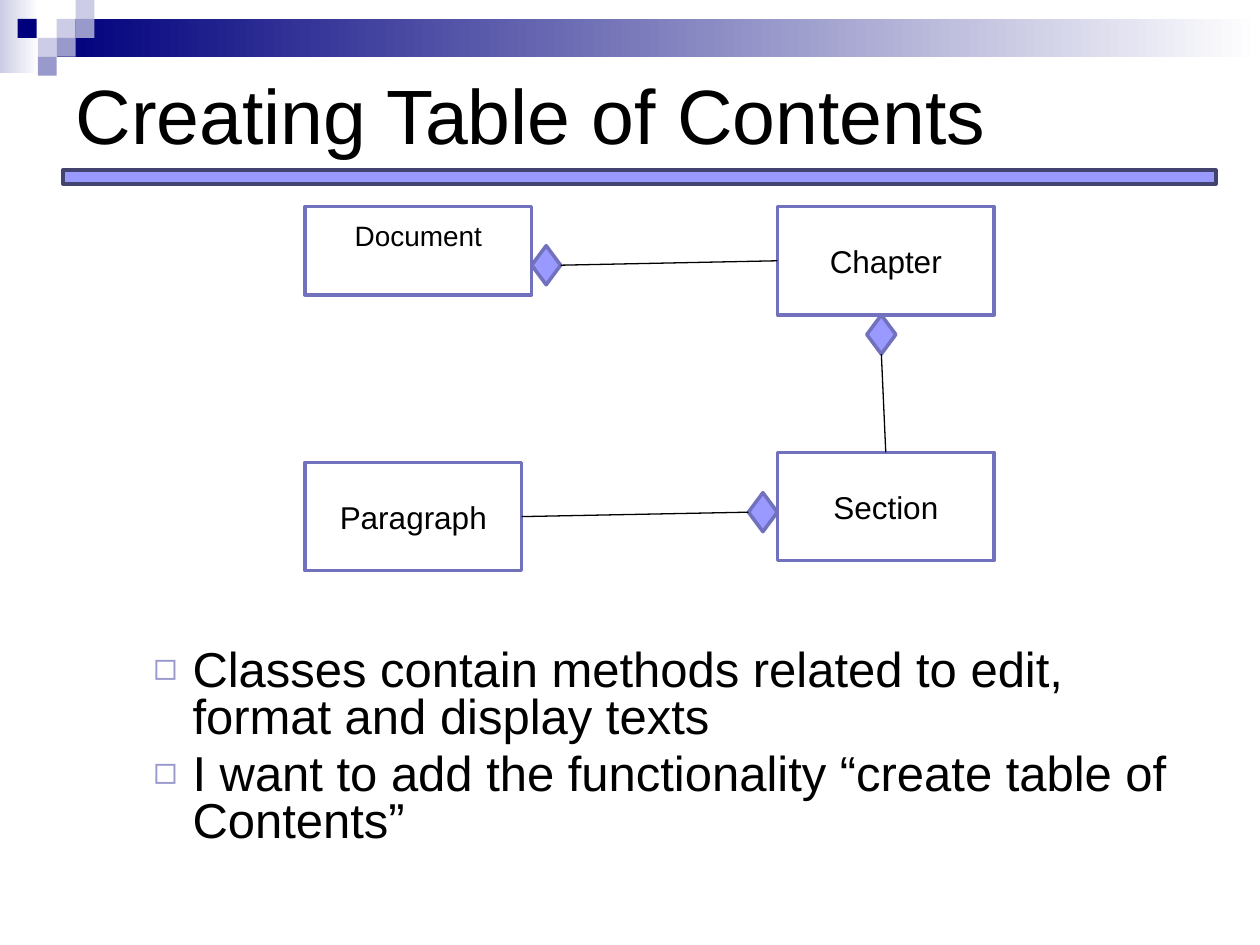
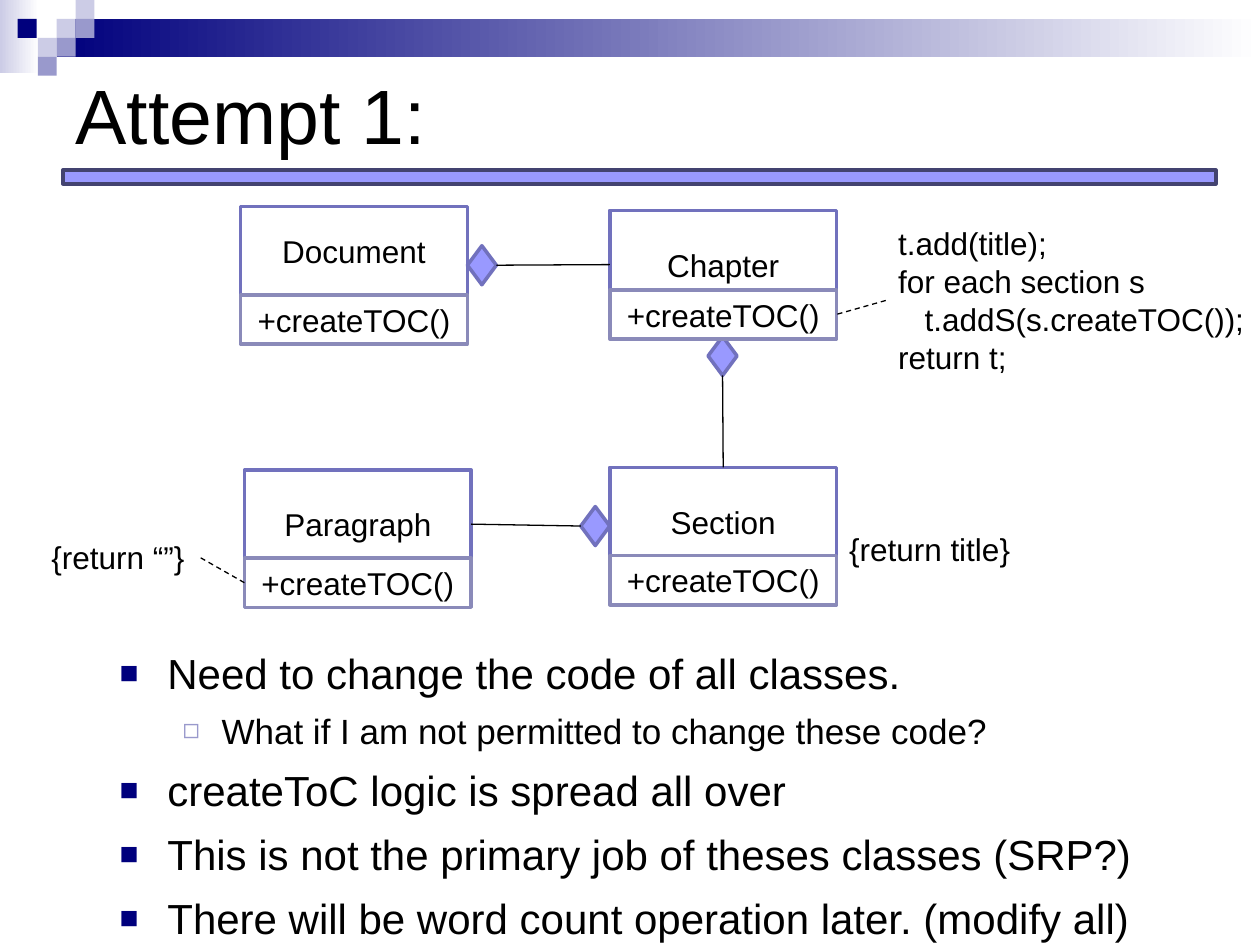
from lxml.etree import SubElement
from pptx import Presentation
from pptx.dml.color import RGBColor
from pptx.enum.dml import MSO_LINE_DASH_STYLE as Dash
from pptx.enum.shapes import MSO_CONNECTOR as Connector, MSO_SHAPE as Preset
from pptx.enum.text import MSO_ANCHOR as Anchor, MSO_AUTO_SIZE as AutoSize, PP_ALIGN as Align
from pptx.oxml.ns import qn
from pptx.util import Inches, Pt

FONT = "Arial"
BLACK, WHITE, NAVY = "000000", "FFFFFF", "00007D"
PALE, LILAC, VIOLET = "CCCCE6", "9999CC", "9999FF"
CLASS_LINE, METHOD_LINE, RULE_LINE = "7171BD", "8A8AB9", "434370"
TOP, LEFT, BOTTOM, RIGHT = range(4)
PIXEL = 0.15
PIXELS = [(0.45, 0.15, PALE), (0.6, 0, PALE), (0.6, 0.15, LILAC), (0.3, 0.3, PALE),
          (0.14, 0.15, NAVY), (0.45, 0.3, LILAC), (0.3, 0.45, LILAC)]
BULLETS = [("■", NAVY, 75, 0.38, 0.38), ("◻", LILAC, 80, 0.81, 0.31)]
CLASS_WIDTH, METHOD_HEIGHT = 1.8, 0.39


def color(value):
    """Turn a hex string into a colour."""
    return RGBColor.from_string(value)


def format_runs(paragraph, size):
    """Give all runs of a paragraph the deck's font."""
    for run in paragraph.runs:
        run.font.name = FONT
        run.font.size = Pt(size)
        run.font.color.rgb = color(BLACK)


def add_box(slide, at, fill=None, line=None, preset=Preset.RECTANGLE):
    """Add a preset shape with an optional fill and outline."""
    shape = slide.shapes.add_shape(preset, *map(Inches, at))
    shape.shadow.inherit = False
    if fill:
        shape.fill.solid()
        shape.fill.fore_color.rgb = color(fill)
    else:
        shape.fill.background()
    if line:
        shape.line.color.rgb = color(line)
        shape.line.width = Pt(2)
    else:
        shape.line.fill.background()
    return shape


def add_fade(slide, at, start):
    """Add a band that fades from a colour to white."""
    shape = add_box(slide, at)
    shape.fill.gradient()
    shape.fill.gradient_angle = 0
    for stop, value in zip(shape.fill.gradient_stops, (start, WHITE)):
        stop.color.rgb = color(value)
    return shape


def decorate_layout(layout, slide):
    """Build the header band, pixels and title rule and move them to the layout."""
    shapes = [add_fade(slide, (0, 0, 0.31, 0.58), PALE),
              add_fade(slide, (0.45, 0.15, 9.55, 0.3), NAVY)]
    shapes += [add_box(slide, (left, top, PIXEL, PIXEL), fill) for left, top, fill in PIXELS]
    shapes.append(add_box(slide, (0.5, 1.35, 9.15, 0.11), VIOLET, RULE_LINE))
    for shape in shapes:
        layout.shapes.element.append(shape.element)


def set_title(slide, text):
    """Place and format the slide title."""
    title = slide.shapes.title
    title.left, title.top, title.width, title.height = map(Inches, (0.5, 0.15, 9, 1.5))
    frame = title.text_frame
    frame.text = text
    frame.auto_size = AutoSize.NONE
    frame.vertical_anchor = Anchor.MIDDLE
    frame.paragraphs[0].alignment = Align.LEFT
    format_runs(frame.paragraphs[0], 44)


def add_label_box(slide, at, text, line, fill=None, size=18):
    """Add an outlined rectangle with a centred label."""
    box = add_box(slide, at, fill, line)
    box.text_frame.text = text
    box.text_frame.vertical_anchor = Anchor.MIDDLE
    paragraph = box.text_frame.paragraphs[0]
    paragraph.alignment = Align.CENTER
    format_runs(paragraph, size)
    return box


def add_class(slide, name, left, top, width=CLASS_WIDTH, height=0.86, size=18):
    """Add a class rectangle."""
    return add_label_box(slide, (left, top, width, height), name, CLASS_LINE, size=size)


def add_method(slide, left, top):
    """Add the method compartment of a class."""
    at = (left, top, CLASS_WIDTH, METHOD_HEIGHT)
    return add_label_box(slide, at, "+createTOC()", METHOD_LINE, WHITE)


def add_link(slide, start, start_side, end, end_side, dash=None):
    """Join two shapes with a thin black line."""
    link = slide.shapes.add_connector(Connector.STRAIGHT, 0, 0, 0, 0)
    link.begin_connect(start, start_side)
    link.end_connect(end, end_side)
    link.line.color.rgb = color(BLACK)
    link.line.width = Pt(0.75)
    if dash:
        link.line.dash_style = dash
    SubElement(link.element.spPr, qn("a:effectLst"))


def add_aggregation(slide, left, top, diamond_side, part, part_side):
    """Add an aggregation diamond and its line to the part class."""
    diamond = add_box(slide, (left, top, 0.23, 0.31), VIOLET, CLASS_LINE, Preset.DIAMOND)
    add_link(slide, diamond, diamond_side, part, part_side)


def add_note(slide, at, lines):
    """Add unwrapped code lines, each given as an indent and a text."""
    note = slide.shapes.add_textbox(*map(Inches, at))
    frame = note.text_frame
    frame.word_wrap = False
    frame.text = "\n".join(text for _, text in lines)
    for paragraph, (indent, _) in zip(frame.paragraphs, lines):
        if indent:
            paragraph._p.get_or_add_pPr().set("marL", str(Inches(indent)))
        format_runs(paragraph, 18)
    return note


def set_bullet(paragraph, level):
    """Give a paragraph the bullet and indent of its level."""
    character, fill, percent, margin, hanging = BULLETS[level]
    paragraph.level = level
    properties = paragraph._p.get_or_add_pPr()
    properties.set("marL", str(Inches(margin)))
    properties.set("indent", str(-Inches(hanging)))
    SubElement(SubElement(properties, qn("a:buClr")), qn("a:srgbClr"), val=fill)
    SubElement(properties, qn("a:buSzPct"), val=str(percent * 1000))
    SubElement(properties, qn("a:buFont"), typeface=FONT)
    SubElement(properties, qn("a:buChar"), char=character)


def add_bullets(slide, at, items, sizes, spacing):
    """Add a bulleted list of level and text pairs."""
    frame = slide.shapes.add_textbox(*map(Inches, at)).text_frame
    frame.word_wrap = True
    frame.text = "\n".join(text for _, text in items)
    for paragraph, (level, _) in zip(frame.paragraphs, items):
        paragraph.line_spacing = spacing
        paragraph.space_before = Pt(sizes[level] * 0.2)
        set_bullet(paragraph, level)
        format_runs(paragraph, sizes[level])


def build_contents_slide(slide):
    """Show the document classes and the wanted function."""
    set_title(slide, "Creating Table of Contents")
    add_bullets(slide, (0.62, 5.11, 9, 2.39), [
        (1, "Classes contain methods related to edit, format and display texts"),
        (1, "I want to add the functionality “create table of Contents”"),
    ], (32, 28), 0.8)
    document = add_class(slide, "Document", 2.42, 1.64, height=0.7, size=16)
    document.text_frame.margin_bottom = Inches(0.29)
    chapter = add_class(slide, "Chapter", 6.17, 1.64, 1.72)
    section = add_class(slide, "Section", 6.17, 3.59, 1.72)
    paragraph = add_class(slide, "Paragraph", 2.42, 3.67, 1.72)
    add_aggregation(slide, 4.22, 1.95, RIGHT, chapter, LEFT)
    add_aggregation(slide, 6.88, 2.5, BOTTOM, section, TOP)
    add_aggregation(slide, 5.94, 3.91, LEFT, paragraph, RIGHT)


def build_attempt_slide(slide):
    """Show the classes with a method added to each."""
    set_title(slide, "Attempt 1:")
    add_bullets(slide, (0.85, 5.05, 8.29, 2.39), [
        (0, "Need to change the code of all classes."),
        (1, "What if I am not permitted to change these code?"),
        (0, "createToC logic is spread all over"),
        (0, "This is not the primary job of theses classes (SRP?)"),
        (0, "There will be word count operation later. (modify all)"),
    ], (24, 20), 1.1)
    add_class(slide, "Document", 1.91, 1.64, height=0.7)
    chapter = add_class(slide, "Chapter", 4.84, 1.67)
    section = add_class(slide, "Section", 4.84, 3.71)
    paragraph = add_class(slide, "Paragraph", 1.94, 3.73)
    add_aggregation(slide, 3.71, 1.95, RIGHT, chapter, LEFT)
    add_aggregation(slide, 5.62, 2.67, BOTTOM, section, TOP)
    add_aggregation(slide, 4.61, 4.02, LEFT, paragraph, RIGHT)
    add_method(slide, 1.91, 2.34)
    add_method(slide, 4.84, 4.41)
    paragraph_method = add_method(slide, 1.94, 4.43)
    chapter_method = add_method(slide, 4.84, 2.3)
    paragraph_note = add_note(slide, (0.31, 4.22, 1.27, 0.4), [(0, "{return “”}")])
    chapter_note = add_note(slide, (7.03, 1.73, 2.97, 1.31), [
        (0, "t.add(title);"), (0, "for each section s"),
        (0.21, "t.addS(s.createTOC());"), (0, "return t;"),
    ])
    add_note(slide, (6.64, 4.16, 1.49, 0.4), [(0, "{return title}")])
    add_link(slide, paragraph_method, LEFT, paragraph_note, RIGHT, Dash.DASH)
    add_link(slide, chapter_note, LEFT, chapter_method, RIGHT, Dash.DASH)


def main():
    """Build and save the presentation."""
    presentation = Presentation()
    presentation.slide_width, presentation.slide_height = Inches(10), Inches(7.5)
    layout = presentation.slide_layouts[5]
    contents_slide, attempt_slide = (presentation.slides.add_slide(layout) for _ in range(2))
    decorate_layout(layout, contents_slide)
    build_contents_slide(contents_slide)
    build_attempt_slide(attempt_slide)
    presentation.save("out.pptx")


if __name__ == "__main__":
    main()
